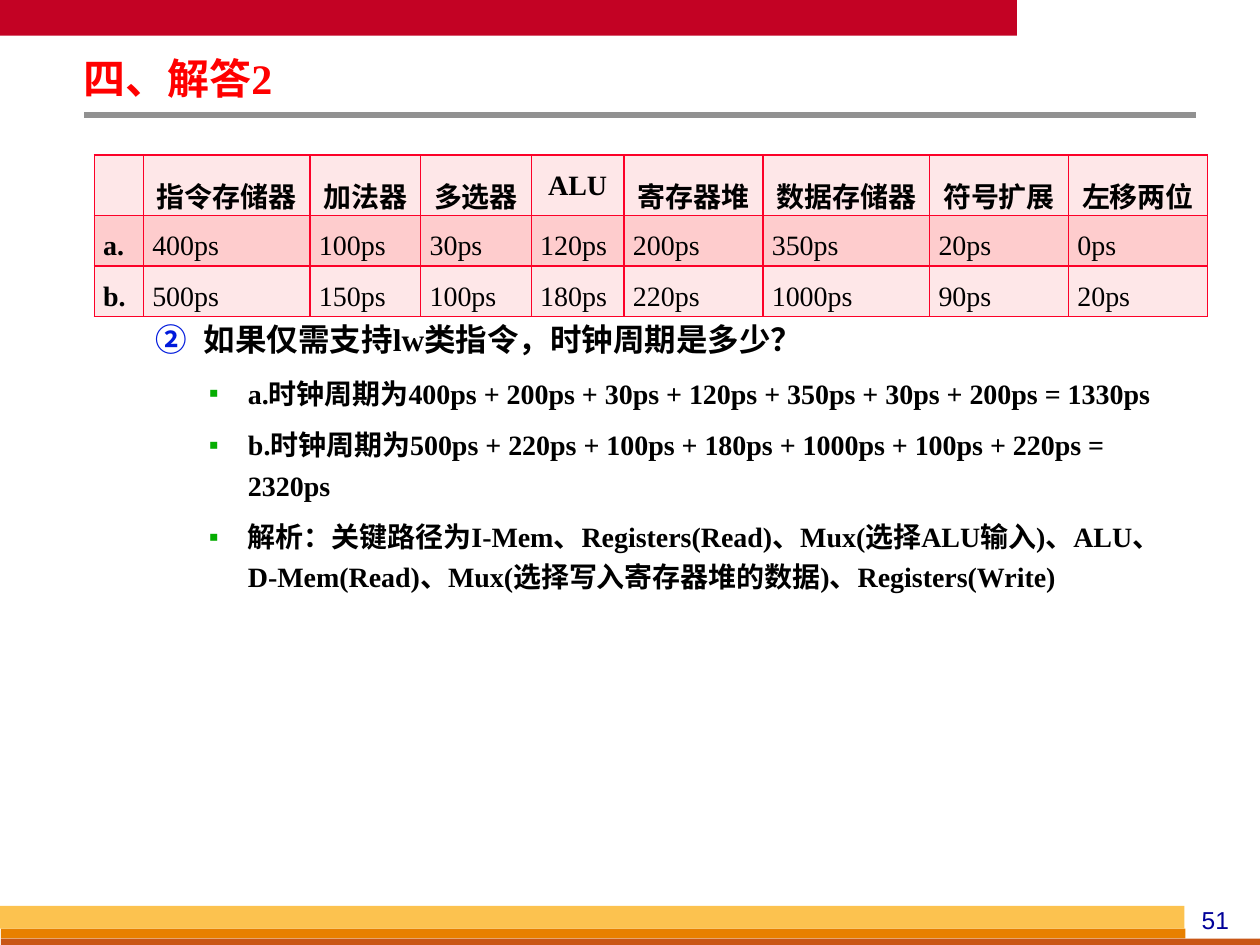
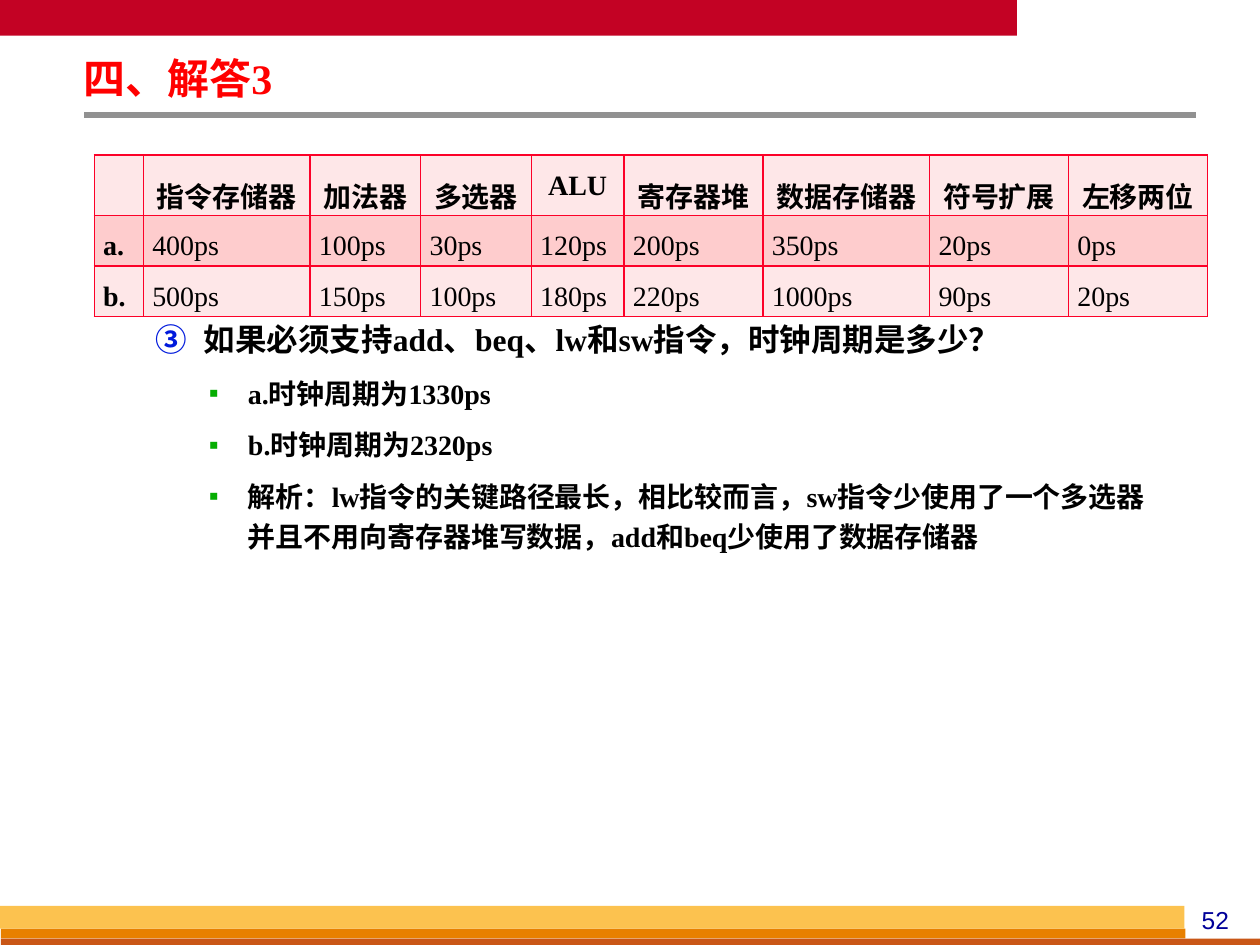
from lxml import etree
from pptx import Presentation
from pptx.dml.color import RGBColor
from pptx.enum.shapes import MSO_CONNECTOR, MSO_SHAPE
from pptx.enum.text import MSO_ANCHOR, PP_ALIGN
from pptx.oxml.ns import qn
from pptx.util import Cm, Pt

RECTANGLE = MSO_SHAPE.RECTANGLE
STRAIGHT = MSO_CONNECTOR.STRAIGHT
MIDDLE = MSO_ANCHOR.MIDDLE
LEFT, CENTER, JUSTIFY = PP_ALIGN.LEFT, PP_ALIGN.CENTER, PP_ALIGN.JUSTIFY

COLORS = {
    "header": "C30224", "rule": "919191", "gold": "FCC24F", "orange": "E88000",
    "rust": "C95616", "page": "000099", "title": "FF0000", "text": "000000",
    "number": "001ADC", "bullet": "05AD01", "border": "FC0128",
    "light_row": "FEE7E8", "dark_row": "FECCCD",
}
SERIF, SANS = "Times New Roman", "Arial"

ANSWERS = [
    {
        "page": "51",
        "title": "四、解答2",
        "number": 2,
        "question": "如果仅需支持lw类指令，时钟周期是多少？",
        "points": [
            "a.时钟周期为400ps + 200ps + 30ps + 120ps + 350ps + 30ps + 200ps = 1330ps",
            "b.时钟周期为500ps + 220ps + 100ps + 180ps + 1000ps + 100ps + 220ps = 2320ps",
            "解析：关键路径为I-Mem、Registers(Read)、Mux(选择ALU输入)、ALU、"
            "D-Mem(Read)、Mux(选择写入寄存器堆的数据)、Registers(Write)",
        ],
    },
    {
        "page": "52",
        "title": "四、解答3",
        "number": 3,
        "question": "如果必须支持add、beq、lw和sw指令，时钟周期是多少？",
        "points": [
            "a.时钟周期为1330ps",
            "b.时钟周期为2320ps",
            "解析：lw指令的关键路径最长，相比较而言，sw指令少使用了一个多选器"
            "并且不用向寄存器堆写数据，add和beq少使用了数据存储器",
        ],
    },
]

DELAYS = [
    ["", "指令存储器", "加法器", "多选器", "ALU", "寄存器堆", "数据存储器", "符号扩展", "左移两位"],
    ["a.", "400ps", "100ps", "30ps", "120ps", "200ps", "350ps", "20ps", "0ps"],
    ["b.", "500ps", "150ps", "100ps", "180ps", "220ps", "1000ps", "90ps", "20ps"],
]
COLUMN_WIDTHS = [0.99, 3.36, 2.23, 2.23, 1.87, 2.8, 3.36, 2.8, 2.8]
ROW_HEIGHTS = [1.22, 1.02, 1.02]

BANDS = [
    ("header", 0, 0, 20.5, 0.72),
    ("orange", 0.02, 18.72, 23.88, 0.2),
    ("rust", 0.02, 18.92, 25.38, 0.13),
    ("gold", 0, 18.26, 23.88, 0.46),
]


def rgb(name):
    return RGBColor.from_string(COLORS[name])


def add_color(parent, tag, name):
    holder = etree.SubElement(parent, qn(tag))
    etree.SubElement(holder, qn("a:srgbClr"), val=COLORS[name])


def add_box(page, left, top, width, height, inset=(0.18, 0.08)):
    frame = page.shapes.add_textbox(Cm(left), Cm(top), Cm(width), Cm(height)).text_frame
    frame.word_wrap = True
    frame.margin_left = frame.margin_right = Cm(inset[0])
    frame.margin_top = frame.margin_bottom = Cm(inset[1])
    return frame


def write(paragraph, text, size, color="text", font=SERIF, bold=True, align=LEFT, spacing=1.0):
    paragraph.text = text
    paragraph.font.size = Pt(size)
    paragraph.font.name = font
    paragraph.font.bold = bold
    paragraph.font.color.rgb = rgb(color)
    paragraph.alignment = align
    paragraph.line_spacing = spacing


def set_marker(paragraph, indent, hanging, color, tag, **attributes):
    properties = paragraph._p.get_or_add_pPr()
    properties.set("marL", str(Cm(indent)))
    properties.set("indent", str(-Cm(hanging)))
    add_color(properties, "a:buClr", color)
    etree.SubElement(properties, qn("a:buFont"), typeface=SANS)
    etree.SubElement(properties, qn(tag), **attributes)


def draw_frame(page, number):
    for color, left, top, width, height in BANDS:
        band = page.shapes.add_shape(RECTANGLE, Cm(left), Cm(top), Cm(width), Cm(height))
        band.shadow.inherit = False
        band.fill.solid()
        band.fill.fore_color.rgb = rgb(color)
        band.line.fill.background()
    rule = page.shapes.add_connector(STRAIGHT, Cm(1.7), Cm(2.32), Cm(24.1), Cm(2.32))
    rule.line.color.rgb = rgb("rule")
    rule.line.width = Pt(3)
    etree.SubElement(rule._element.spPr, qn("a:effectLst"))
    frame = add_box(page, 23.7, 18.12, 1.6, 0.84, (0.25, 0.13))
    write(frame.paragraphs[0], number, 14, "page", SANS, False, CENTER)


def draw_title(page, text):
    frame = add_box(page, 1.5, 1.12, 14.6, 1.04)
    frame.vertical_anchor = MIDDLE
    write(frame.paragraphs[0], text, 24, "title", spacing=0.87)


def draw_answer(page, answer):
    frame = add_box(page, 1.9, 6.22, 21.8, 6.4)
    for position, text in enumerate([answer["question"], *answer["points"]]):
        paragraph = frame.paragraphs[0] if position == 0 else frame.add_paragraph()
        size = 16 if position else 18
        write(paragraph, text, size, spacing=1.2)
        paragraph.space_before = paragraph.space_after = Pt(size * 0.2)
        if position:
            set_marker(paragraph, 2.92, 0.79, "bullet", "a:buChar", char="▪")
        else:
            set_marker(paragraph, 2.03, 0.97, "number", "a:buAutoNum",
                       type="circleNumDbPlain", startAt=str(answer["number"]))


def style_cell(cell, fill):
    cell.margin_left = cell.margin_right = Cm(0.18)
    cell.margin_top = cell.margin_bottom = 0
    properties = cell._tc.get_or_add_tcPr()
    for side in ("a:lnL", "a:lnR", "a:lnT", "a:lnB"):
        border = etree.SubElement(properties, qn(side), w=str(Pt(1)))
        add_color(border, "a:solidFill", "border")
    cell.fill.solid()
    cell.fill.fore_color.rgb = rgb(fill)


def draw_delays(page):
    table = page.shapes.add_table(
        len(ROW_HEIGHTS), len(COLUMN_WIDTHS), Cm(1.9), Cm(3.12),
        Cm(sum(COLUMN_WIDTHS)), Cm(sum(ROW_HEIGHTS))).table
    for column, width in zip(table.columns, COLUMN_WIDTHS):
        column.width = Cm(width)
    for row, height in zip(table.rows, ROW_HEIGHTS):
        row.height = Cm(height)
    for row, values in enumerate(DELAYS):
        for column, value in enumerate(values):
            cell = table.cell(row, column)
            style_cell(cell, "dark_row" if row % 2 else "light_row")
            if value:
                write(cell.text_frame.paragraphs[0], value, 16,
                      bold=row == 0 or column == 0,
                      align=JUSTIFY if row else CENTER, spacing=1.5)


def main():
    deck = Presentation()
    deck.slide_width, deck.slide_height = Cm(25.4), Cm(19.05)
    for answer in ANSWERS:
        page = deck.slides.add_slide(deck.slide_layouts[6])
        draw_frame(page, answer["page"])
        draw_title(page, answer["title"])
        draw_answer(page, answer)
        draw_delays(page)
    deck.save("out.pptx")


if __name__ == "__main__":
    main()
